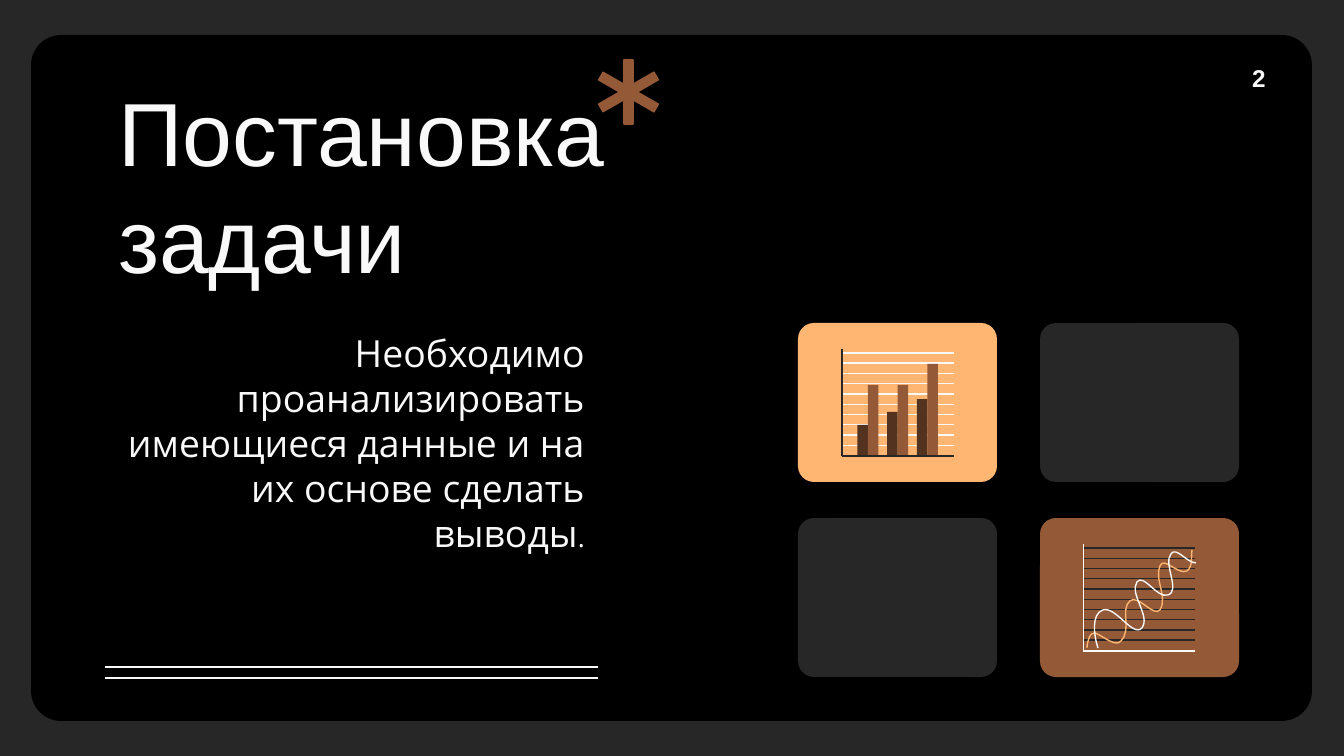
from lxml.etree import SubElement
from pptx import Presentation
from pptx.dml.color import RGBColor
from pptx.enum.shapes import MSO_CONNECTOR, MSO_SHAPE
from pptx.enum.text import MSO_ANCHOR, PP_ALIGN
from pptx.oxml.ns import qn
from pptx.util import Emu, Pt

PX = 914400 / 134.4

BLACK = RGBColor(0x00, 0x00, 0x00)
GRAY = RGBColor(0x27, 0x27, 0x27)
WHITE = RGBColor(0xF9, 0xF9, 0xF9)
ORANGE = RGBColor(0xFF, 0xB6, 0x73)
BROWN = RGBColor(0x94, 0x59, 0x37)
DARK_BROWN = RGBColor(0x53, 0x32, 0x1F)

LINE_WIDTH = Pt(0.75)
TILE_LEFT, TILE_TOP = 798, 323
TILE_STEP_X, TILE_STEP_Y = 242, 195
PLOT_X, PLOT_Y, PLOT_WIDTH, PLOT_HEIGHT = 44, 26, 112, 107
GRID_LINES = 10

# Start point, then triples of two control points and an end point
ORANGE_WAVE = [
    (1087, 648), (1087, 642), (1090, 632), (1095, 633),
    (1103, 636), (1116, 648), (1121, 641), (1132, 630), (1120, 609), (1130, 601),
    (1138, 594), (1154, 618), (1160, 610), (1168, 597), (1154, 579), (1160, 566),
    (1164, 556), (1179, 576), (1187, 571), (1193, 567), (1191, 556), (1192, 550),
]
WHITE_WAVE = [
    (1196, 563), (1187, 563), (1176, 546), (1171, 554),
    (1163, 564), (1181, 591), (1168, 595), (1157, 599), (1144, 573), (1137, 582),
    (1129, 594), (1151, 616), (1142, 628), (1133, 638), (1116, 606), (1103, 610),
    (1091, 614), (1094, 636), (1098, 648),
]


def px(value):
    return Emu(round(value * PX))


def add_box(parent, kind, left, top, width, height, color, outlined=False):
    shape = parent.shapes.add_shape(kind, px(left), px(top), px(width), px(height))
    shape.shadow.inherit = False
    shape.fill.solid()
    shape.fill.fore_color.rgb = color
    if outlined:
        shape.line.color.rgb = color
        shape.line.width = LINE_WIDTH
    else:
        shape.line.fill.background()
    return shape


def add_rounded_box(parent, left, top, width, height, color, radius):
    shape = add_box(parent, MSO_SHAPE.ROUNDED_RECTANGLE, left, top, width, height, color)
    shape.adjustments[0] = radius
    return shape


def add_line(parent, x1, y1, x2, y2, color):
    line = parent.shapes.add_connector(
        MSO_CONNECTOR.STRAIGHT, px(x1), px(y1), px(x2), px(y2))
    line.line.color.rgb = color
    line.line.width = LINE_WIDTH
    SubElement(line._element.spPr, qn("a:effectLst"))


def add_text(slide, left, top, width, height, pieces, font, bold=False,
             align=PP_ALIGN.LEFT, anchor=MSO_ANCHOR.TOP):
    """Add one paragraph made of (text, size) pieces."""
    box = slide.shapes.add_textbox(px(left), px(top), px(width), px(height))
    frame = box.text_frame
    frame.word_wrap = True
    frame.vertical_anchor = anchor
    frame.margin_left = frame.margin_right = Pt(7.2)
    frame.margin_top = frame.margin_bottom = Pt(7.2)
    paragraph = frame.paragraphs[0]
    paragraph.alignment = align
    for text, size in pieces:
        run = paragraph.add_run()
        run.text = text
        run.font.name = font
        run.font.size = Pt(size)
        run.font.bold = bold
        run.font.color.rgb = WHITE


def add_wave(slide, points, color):
    """Draw a smooth open curve by joining each triple of points into a Bezier."""
    corners = [(px(x), px(y)) for x, y in points]
    builder = slide.shapes.build_freeform(*corners[0])
    builder.add_line_segments(corners[1:], close=False)
    wave = builder.convert_to_shape()
    segments = list(wave._element.iter(qn("a:lnTo")))
    outline = segments[0].getparent()
    for start in range(0, len(segments), 3):
        curve = SubElement(outline, qn("a:cubicBezTo"))
        for segment in segments[start:start + 3]:
            curve.append(segment[0])
            outline.remove(segment)
    wave.shadow.inherit = False
    wave.fill.background()
    wave.line.color.rgb = color
    wave.line.width = LINE_WIDTH


def tile_origin(column, row):
    return TILE_LEFT + column * TILE_STEP_X, TILE_TOP + row * TILE_STEP_Y


def add_tile(parent, column, row, color):
    return add_rounded_box(parent, *tile_origin(column, row), 199, 159, color, 0.1)


def plot_origin(column, row):
    left, top = tile_origin(column, row)
    return left + PLOT_X, top + PLOT_Y


def add_grid(parent, left, top, color):
    for index in reversed(range(GRID_LINES)):
        y = top + 4 + index * 10.25
        add_line(parent, left, y, left + PLOT_WIDTH, y, color)


def add_axes(parent, left, top, color):
    bottom = top + PLOT_HEIGHT
    add_line(parent, left, bottom, left + PLOT_WIDTH, bottom, color)
    add_line(parent, left, top, left, bottom, color)


def add_bar_icon(slide, column, row):
    left, top = plot_origin(column, row)
    add_tile(slide, column, row, ORANGE)
    add_grid(slide.shapes.add_group_shape(), left, top, WHITE)
    bottom = top + PLOT_HEIGHT
    for index, heights in enumerate([(31, 71), (44, 71), (57, 92)]):
        bar_left = left + 15.5 + index * 29.75
        for height, color in zip(heights, (DARK_BROWN, BROWN)):
            add_box(slide, MSO_SHAPE.RECTANGLE, bar_left, bottom - height,
                    10.5, height, color)
            bar_left += 10.5
    add_axes(slide.shapes.add_group_shape(), left, top, GRAY)


def add_wave_icon(slide, column, row):
    left, top = plot_origin(column, row)
    group = slide.shapes.add_group_shape()
    add_tile(group, column, row, BROWN)
    add_grid(group, left - 0.5, top, GRAY)
    add_axes(group, left - 0.5, top, WHITE)
    add_wave(slide, ORANGE_WAVE, ORANGE)
    add_wave(slide, WHITE_WAVE, WHITE)


def add_asterisk(slide):
    group = slide.shapes.add_group_shape()
    for angle in (0, 300, 60):
        arm = add_box(group, MSO_SHAPE.RECTANGLE, 624, 60, 9, 64, BROWN, outlined=True)
        arm.rotation = angle


def add_double_rule(slide):
    group = slide.shapes.add_group_shape()
    for y in (667, 678):
        add_line(group, 598, y, 105, y, WHITE)


def main():
    presentation = Presentation()
    presentation.slide_width = px(1344)
    presentation.slide_height = px(756)
    slide = presentation.slides.add_slide(presentation.slide_layouts[6])
    slide.background.fill.solid()
    slide.background.fill.fore_color.rgb = GRAY

    add_rounded_box(slide, 31, 35, 1281, 686, BLACK, 0.044)
    add_text(slide, 1239, 50, 81, 58, [("2", 13)], "Arial", bold=True)
    add_text(slide, 105, 79, 694, 226, [("Постановка задачи", 48)], "Arial",
             anchor=MSO_ANCHOR.BOTTOM)
    add_text(slide, 105, 317, 493, 340,
             [("Необходимо проанализировать имеющиеся данные и на их основе "
               "сделать выводы", 20), (".", 14)],
             "Open Sans", align=PP_ALIGN.RIGHT)

    for column, row in ((0, 1), (1, 0)):
        add_tile(slide, column, row, GRAY).rotation = 180
    add_bar_icon(slide, 0, 0)
    add_wave_icon(slide, 1, 1)

    add_asterisk(slide)
    add_double_rule(slide)
    presentation.save("out.pptx")


if __name__ == "__main__":
    main()
